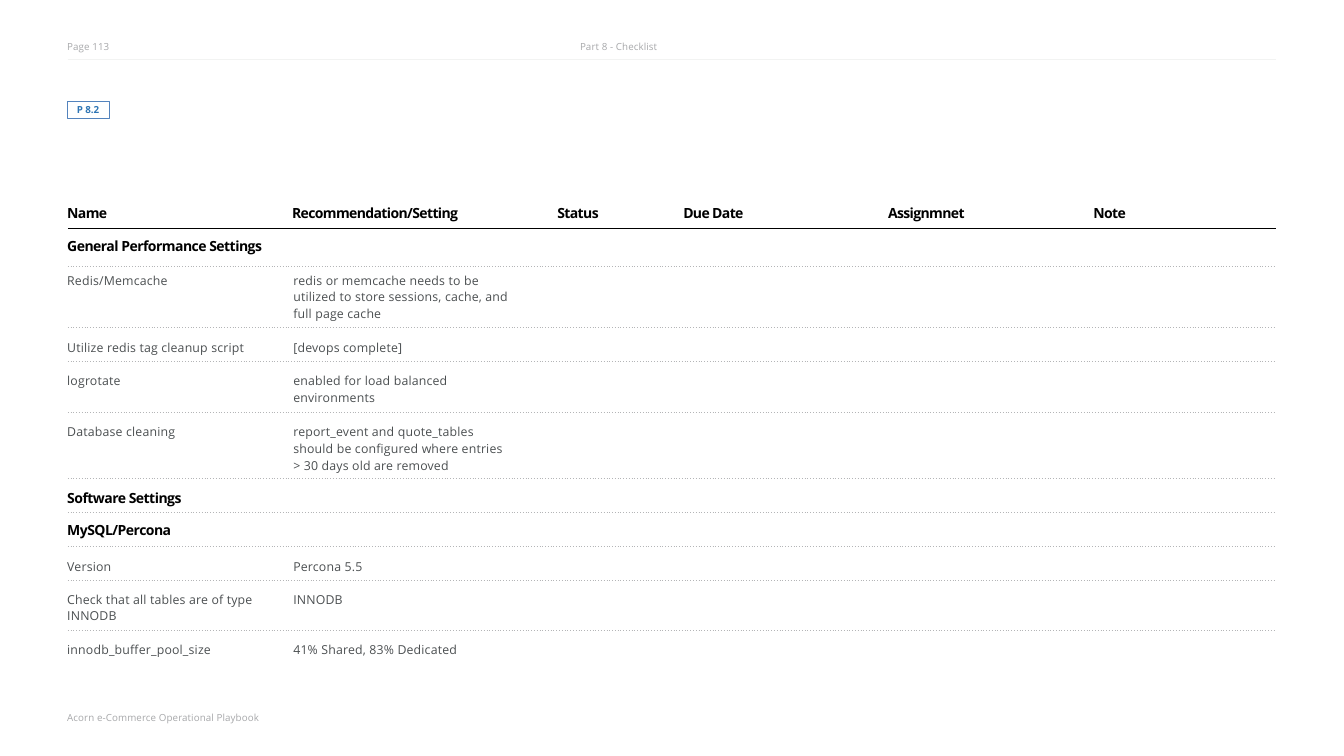
"""Build the operational checklist slide for part 8.2."""
from dataclasses import dataclass
from itertools import accumulate, pairwise

from lxml.etree import SubElement
from pptx import Presentation
from pptx.dml.color import RGBColor
from pptx.enum.shapes import MSO_CONNECTOR as Connector, MSO_SHAPE as Preset
from pptx.enum.text import MSO_ANCHOR as Anchor, MSO_AUTO_SIZE as AutoSize, PP_ALIGN as Align
from pptx.oxml.ns import qn
from pptx.util import Emu, Pt

PX = 9144
FONT = "Open Sans"
BLACK = RGBColor(0x00, 0x00, 0x00)
BODY_GREY = RGBColor(0x4B, 0x4F, 0x51)
LABEL_GREY = RGBColor(0xA7, 0xA8, 0xAA)
DOT_GREY = RGBColor(0xB4, 0xB5, 0xB7)
RULE_GREY = RGBColor(0xF2, 0xF3, 0xF2)
BADGE_LINE = RGBColor(0x53, 0x83, 0xBD)
BADGE_TEXT = RGBColor(0x2E, 0x75, 0xB5)
PLAIN_TABLE = "{2D5ABB26-0587-4C30-8999-92F81FD0307C}"

TABLE_TOP = 330
COLUMN_EDGES = (110, 478, 912, 1118, 1453, 1789, 2088)
RULE_LEFT, RULE_RIGHT = 111, 2088
RIGHT_GAP = 60


@dataclass(frozen=True)
class Style:
    size: float
    color: RGBColor
    bold: bool = False
    tracking: int = 0
    indent: int = 0


@dataclass(frozen=True)
class Row:
    cells: tuple[str, ...]
    height: int
    text_top: int
    style: Style


@dataclass(frozen=True)
class Label:
    text: str
    left: int
    top: int
    width: int


@dataclass(frozen=True)
class Rule:
    y: int
    color: RGBColor
    weight: float
    dash: str = "solid"


SMALL = Style(11.5, LABEL_GREY, tracking=10)
BADGE = Style(11.5, BADGE_TEXT, bold=True, tracking=-15)
HEADING = Style(16.5, BLACK, bold=True, tracking=-70)
SECTION = Style(16.5, BLACK, bold=True, tracking=-60)
BODY = Style(14.5, BODY_GREY, tracking=20, indent=2)

ROWS = (
    Row(("Name", "Recommendation/Setting", "Status", "Due Date", "Assignmnet", "Note"),
        43, 3, HEADING),
    Row(("General Performance Settings",), 63, 14, SECTION),
    Row(("Redis/Memcache",
         "redis or memcache needs to be utilized to store sessions, cache, and full page cache"),
        99, 9, BODY),
    Row(("Utilize redis tag cleanup script", "[devops complete]"), 56, 20, BODY),
    Row(("logrotate", "enabled for load balanced environments"), 83, 19, BODY),
    Row(("Database cleaning",
         "report_event and quote_tables\nshould be configured where entries\n"
         "> 30 days old are removed"), 109, 19, BODY),
    Row(("Software Settings",), 56, 17, SECTION),
    Row(("MySQL/Percona",), 55, 13, SECTION),
    Row(("Version", "Percona 5.5"), 55, 19, BODY),
    Row(("Check that all tables are of type INNODB", "INNODB"), 82, 18, BODY),
    Row(("innodb_buffer_pool_size", "41% Shared, 83% Dedicated"), 54, 19, BODY),
)

PAGE = Label("Page 113", 110, 65, 120)
CHAPTER = Label("Part 8 - Checklist", 949, 65, 200)
PLAYBOOK = Label("Acorn e-Commerce Operational Playbook", 110, 1164, 400)


def px(length: int) -> Emu:
    """Turn px into EMU."""
    return Emu(length * PX)


def write(frame, text: str, style: Style) -> None:
    """Set the text of a frame and format its runs."""
    frame.text = text
    for paragraph in frame.paragraphs:
        paragraph.alignment = Align.LEFT
        for run in paragraph.runs:
            run.font.name = FONT
            run.font.size = Pt(style.size)
            run.font.bold = style.bold
            run.font.color.rgb = style.color
            run.font._element.set("spc", str(style.tracking))
        SubElement(paragraph._p, qn("a:endParaRPr"), sz=str(int(style.size * 100)))


def place_label(shape, label: Label) -> None:
    """Position a small grey label and write its text."""
    shape.left, shape.top = px(label.left), px(label.top)
    shape.width, shape.height = px(label.width), px(25)
    frame = shape.text_frame
    frame.auto_size = AutoSize.NONE
    frame.word_wrap = True
    frame.vertical_anchor = Anchor.TOP
    frame.margin_left = frame.margin_right = frame.margin_bottom = 0
    frame.margin_top = px(1)
    write(frame, label.text, SMALL)


def add_rule(shapes, rule: Rule) -> None:
    """Draw a line across the page."""
    line = shapes.add_connector(Connector.STRAIGHT, px(RULE_LEFT), px(rule.y),
                                px(RULE_RIGHT), px(rule.y))
    line.line.color.rgb = rule.color
    line.line.width = Pt(rule.weight)
    SubElement(line._element.spPr.find(qn("a:ln")), qn("a:prstDash"), val=rule.dash)
    SubElement(line._element.spPr, qn("a:effectLst"))


def add_badge(shapes) -> None:
    """Draw the outlined section number."""
    badge = shapes.add_shape(Preset.RECTANGLE, px(111), px(166), px(68), px(27))
    badge.shadow.inherit = False
    badge.fill.background()
    badge.line.color.rgb = BADGE_LINE
    badge.line.width = Pt(0.82)
    frame = badge.text_frame
    frame.vertical_anchor = Anchor.TOP
    frame.margin_left, frame.margin_top = px(15), px(3)
    frame.margin_right = frame.margin_bottom = 0
    write(frame, "P 8.2", BADGE)


def add_checklist(shapes) -> None:
    """Draw the checklist table and the rules between its rows."""
    edges = list(accumulate((row.height for row in ROWS), initial=TABLE_TOP))
    columns = len(COLUMN_EDGES) - 1
    frame = shapes.add_table(len(ROWS), columns, px(COLUMN_EDGES[0]), px(TABLE_TOP),
                             px(COLUMN_EDGES[-1] - COLUMN_EDGES[0]),
                             px(edges[-1] - TABLE_TOP))
    checklist = frame.table
    checklist.horz_banding = False
    checklist._tbl.tblPr.find(qn("a:tableStyleId")).text = PLAIN_TABLE
    for column, (start, end) in zip(checklist.columns, pairwise(COLUMN_EDGES)):
        column.width = px(end - start)
    for index, row in enumerate(ROWS):
        checklist.rows[index].height = px(row.height)
        cells = list(checklist.rows[index].cells)
        if row.style is SECTION:
            cells[0].merge(cells[-1])
        texts = row.cells + ("",) * (columns - len(row.cells))
        for position, (cell, text) in enumerate(zip(cells, texts)):
            cell.fill.background()
            cell.margin_left = px(row.style.indent if position else 0)
            cell.margin_right = px(RIGHT_GAP)
            cell.margin_top = px(row.text_top)
            cell.margin_bottom = 0
            write(cell.text_frame, text, row.style)
    header_edge, *row_edges = edges[1:-1]
    add_rule(shapes, Rule(header_edge, BLACK, 0.82))
    for edge in row_edges:
        add_rule(shapes, Rule(edge, DOT_GREY, 0.82, "dot"))


def main() -> None:
    """Create and save the slide."""
    deck = Presentation()
    deck.slide_width, deck.slide_height = px(2199), px(1237)
    slide = deck.slides.add_slide(deck.slide_layouts[5])
    shapes = slide.shapes
    add_rule(shapes, Rule(96, RULE_GREY, 0.25))
    place_label(shapes.title, CHAPTER)
    for label in (PAGE, PLAYBOOK):
        place_label(shapes.add_textbox(0, 0, 0, 0), label)
    add_badge(shapes)
    add_checklist(shapes)
    deck.save("out.pptx")


if __name__ == "__main__":
    main()
